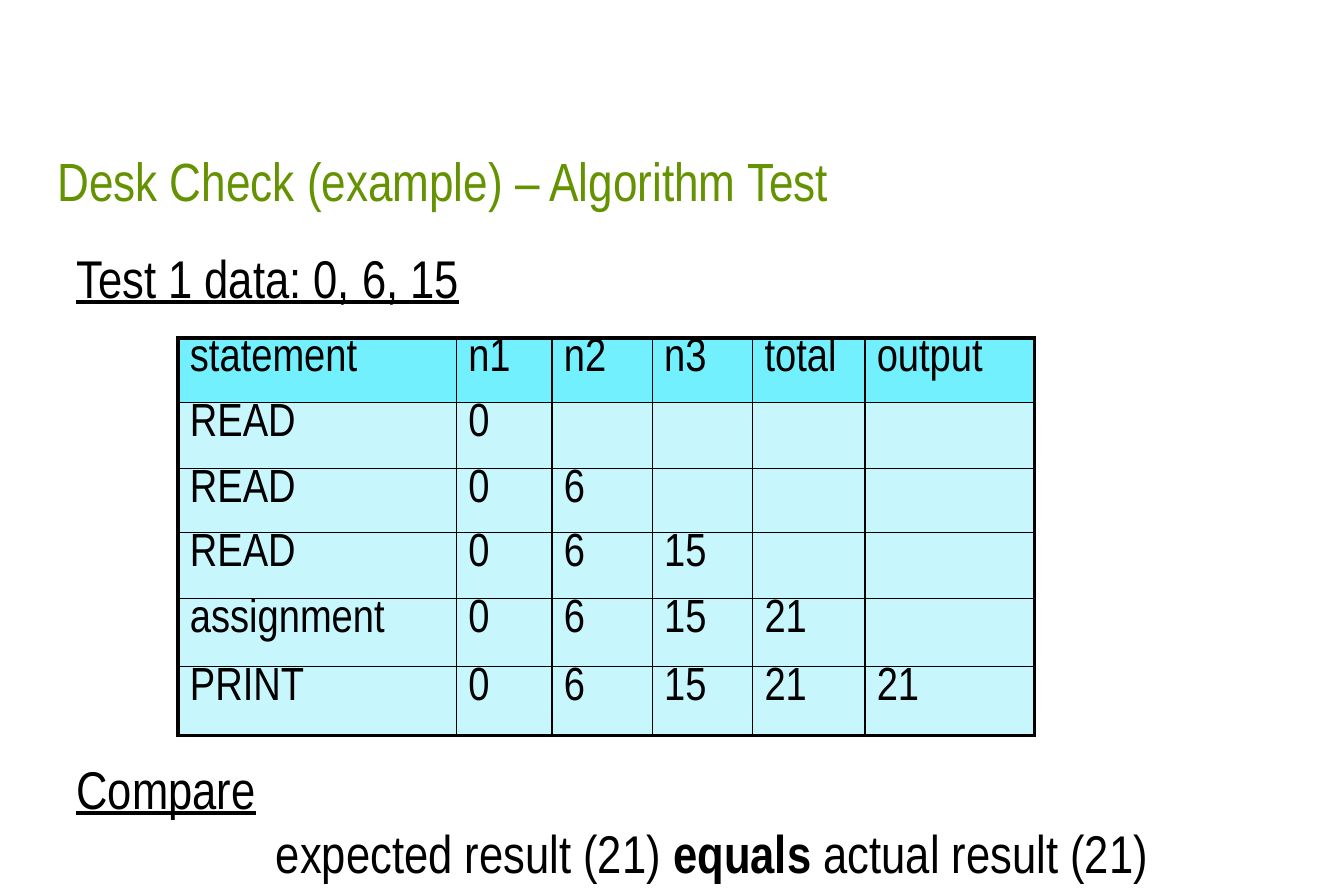
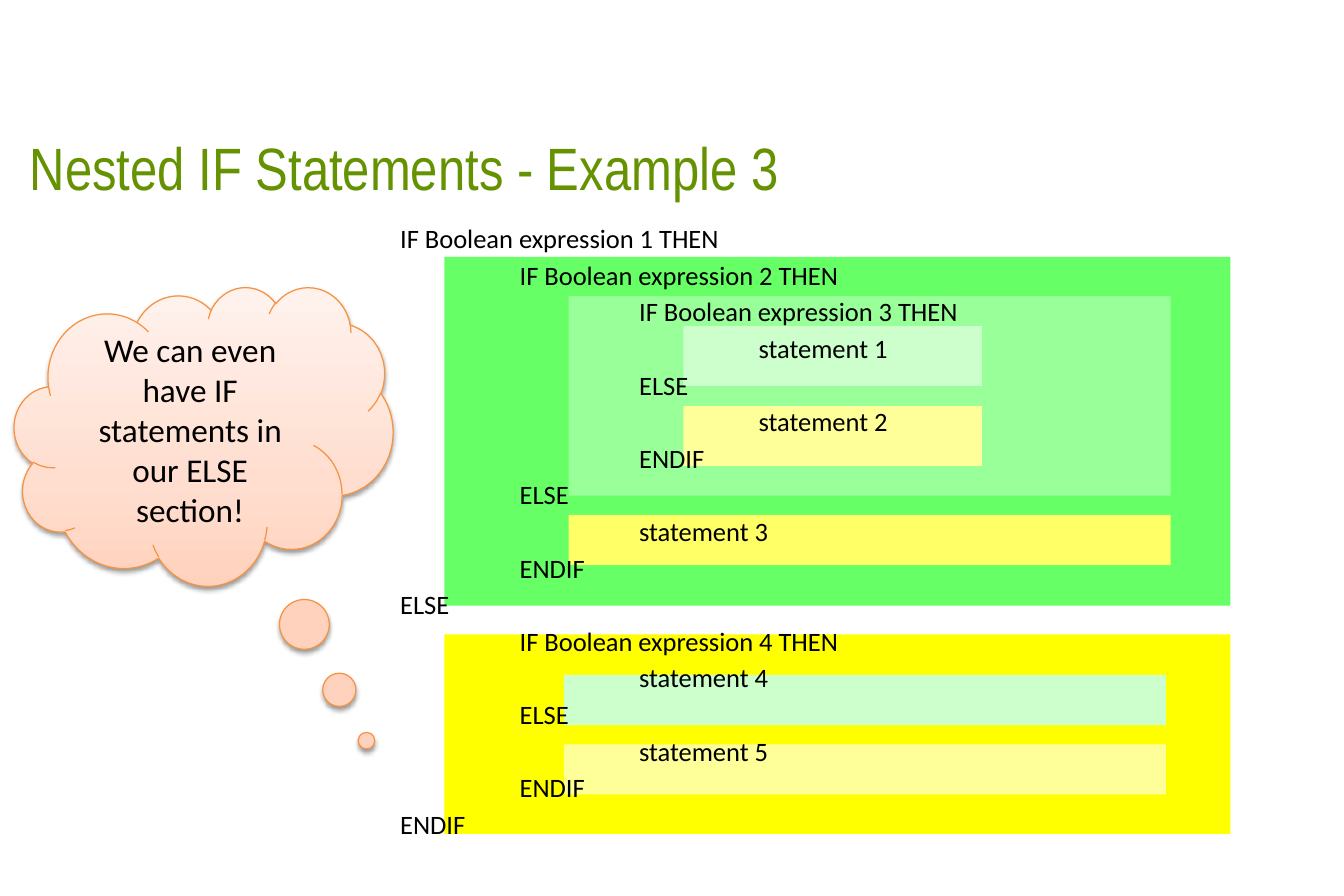
"""Build two teaching slides: a desk check table and a nested IF outline."""
from dataclasses import dataclass

from pptx import Presentation
from pptx import util as u
from pptx.dml.color import RGBColor
from pptx.enum import shapes, text
from pptx.oxml import parse_xml
from pptx.oxml.ns import nsdecls, qn

COLUMNS, ROWS = 45, 30
CELL = u.Inches(0.25)
NARROW, PLAIN = "Arial Narrow", "Calibri"
TITLE_GREEN, INK = "659200", "000000"
HEADER_FILL, BODY_FILL = "73F0FD", "C7F7FD"
CLOUD_LINE = "F69240"
CLOUD_STOPS = ((0, "FFD2BD"), (35, "FFDED0"), (100, "FFF2ED"))


@dataclass(frozen=True)
class Area:
    """A place on the grid, in columns and rows."""
    col: float
    row: float
    cols: float
    rows: float

    def emu(self) -> tuple:
        """Return left, top, width and height as lengths."""
        return tuple(grid(n) for n in (self.col, self.row, self.cols, self.rows))


@dataclass(frozen=True)
class Span:
    """A run of text with its emphasis."""
    words: str
    bold: bool = False
    underline: bool = False


@dataclass(frozen=True)
class Line:
    """A paragraph with its indent in columns and its spacing in points."""
    spans: tuple
    indent: float = 0
    before: float = 0
    pitch: float = 0


@dataclass(frozen=True)
class Block:
    """A coloured area behind a branch of the code."""
    area: Area
    fill: str


TEST_PITCH = 38.5
TABLE_LINES = 7
DESK_CHECK = (
    Line((Span("Test 1 data: 0, 6, 15", underline=True),), pitch=TEST_PITCH),
    Line((Span("Compare", underline=True),),
         before=TABLE_LINES * TEST_PITCH, pitch=TEST_PITCH),
    Line((Span("expected result (21) "), Span("equals", bold=True),
          Span(" actual result (21)")), indent=6.68, pitch=TEST_PITCH),
)

TRACE_AT = (5.96, 11.32)
TRACE_COLS = (9.32, 3.2, 3.36, 3.36, 3.76, 5.68)
TRACE_ROWS = (2.16, 2.2, 2.16, 2.2, 2.28, 2.32)
TRACE = (
    ("statement", "n1", "n2", "n3", "total", "output"),
    ("READ", "0", "", "", "", ""),
    ("READ", "0", "6", "", "", ""),
    ("READ", "0", "6", "15", "", ""),
    ("assignment", "0", "6", "15", "21", ""),
    ("PRINT", "0", "6", "15", "21", "21"),
)

BRANCHES = (
    Block(Area(14.88, 8.6, 26.32, 11.68), "66FF66"),
    Block(Area(14.88, 21.24, 26.32, 6.68), "FFFF00"),
    Block(Area(19.04, 9.92, 20.16, 6.68), "99FF99"),
    Block(Area(19.04, 17.24, 20.16, 1.68), "FFFF66"),
    Block(Area(18.88, 22.6, 20.16, 1.68), "CCFFCC"),
    Block(Area(18.88, 24.92, 20.16, 1.68), "FFFF99"),
    Block(Area(22.88, 10.92, 10, 2), "CCFFCC"),
    Block(Area(22.88, 13.6, 10, 2), "FFFF99"),
)

CODE_INDENT, CODE_STEP, CODE_GAP = 5.48, 4, 2.85
CODE = (
    (0, "IF Boolean expression 1 THEN"),
    (1, "IF Boolean expression 2 THEN"),
    (2, "IF Boolean expression 3 THEN"),
    (3, "statement 1"),
    (2, "ELSE"),
    (3, "statement 2"),
    (2, "ENDIF"),
    (1, "ELSE"),
    (2, "statement 3"),
    (1, "ENDIF"),
    (0, "ELSE"),
    (1, "IF Boolean expression 4 THEN"),
    (2, "statement 4"),
    (1, "ELSE"),
    (2, "statement 5"),
    (1, "ENDIF"),
    (0, "ENDIF"),
)


def grid(count: float) -> int:
    """Turn a number of grid cells into a length."""
    return round(count * CELL)


def colour(hex_code: str) -> RGBColor:
    """Turn a hex string into a colour."""
    return RGBColor.from_string(hex_code)


def add_span(paragraph, span: Span, font: str, size: float, ink: str = INK) -> None:
    """Add one formatted run to a paragraph."""
    run = paragraph.add_run()
    run.text = span.words
    run.font.name = font
    run.font.size = u.Pt(size)
    run.font.bold = span.bold
    run.font.underline = span.underline
    run.font.color.rgb = colour(ink)


def place(holder, area: Area, anchor) -> None:
    """Move a placeholder to its area and fix its text frame."""
    holder.left, holder.top, holder.width, holder.height = area.emu()
    holder.text_frame.word_wrap = True
    holder.text_frame.auto_size = text.MSO_AUTO_SIZE.NONE
    holder.text_frame.vertical_anchor = anchor


def write_title(slide, area: Area, words: str, size: float) -> None:
    """Fill the title placeholder in the shared title style."""
    title = slide.shapes.title
    place(title, area, text.MSO_ANCHOR.MIDDLE)
    paragraph = title.text_frame.paragraphs[0]
    paragraph.alignment = text.PP_ALIGN.LEFT
    add_span(paragraph, Span(words), NARROW, size, TITLE_GREEN)


def write_body(slide, area: Area, lines: tuple, font: str, size: float) -> None:
    """Fill the body placeholder with unbulleted lines."""
    body = slide.placeholders[1]
    place(body, area, text.MSO_ANCHOR.TOP)
    frame = body.text_frame
    for number, line in enumerate(lines):
        paragraph = frame.add_paragraph() if number else frame.paragraphs[0]
        paragraph.space_before = u.Pt(line.before)
        if line.pitch:
            paragraph.line_spacing = u.Pt(line.pitch)
        properties = paragraph._p.get_or_add_pPr()
        properties.set("marL", str(grid(line.indent)))
        properties.set("indent", "0")
        properties.append(parse_xml(f"<a:buNone {nsdecls('a')}/>"))
        for span in line.spans:
            add_span(paragraph, span, font, size)


def set_borders(cell, widths: dict) -> None:
    """Draw the borders of a cell, given in points by side."""
    properties = cell._tc.get_or_add_tcPr()
    for order, (side, points) in enumerate(widths.items()):
        properties.insert(order, parse_xml(
            f'<a:ln{side} {nsdecls("a")} w="{u.Pt(points)}"><a:solidFill>'
            f'<a:srgbClr val="{INK}"/></a:solidFill></a:ln{side}>'))


def draw_trace(slide) -> None:
    """Draw the table that traces the variables."""
    area = Area(*TRACE_AT, sum(TRACE_COLS), sum(TRACE_ROWS))
    last_row, last_col = len(TRACE_ROWS) - 1, len(TRACE_COLS) - 1
    trace = slide.shapes.add_table(last_row + 1, last_col + 1, *area.emu()).table
    for column, width in zip(trace.columns, TRACE_COLS):
        column.width = grid(width)
    for row, height in zip(trace.rows, TRACE_ROWS):
        row.height = grid(height)
    for r, values in enumerate(TRACE):
        for c, value in enumerate(values):
            cell = trace.cell(r, c)
            cell.margin_top = cell.margin_bottom = 0
            cell.fill.solid()
            cell.fill.fore_color.rgb = colour(BODY_FILL if r else HEADER_FILL)
            outer = {"L": c == 0, "R": c == last_col, "T": r == 0, "B": r == last_row}
            set_borders(cell, {side: 2.25 if edge else 1 for side, edge in outer.items()})
            if value:
                add_span(cell.text_frame.paragraphs[0], Span(value), NARROW, 28)


def draw_branch(slide, block: Block) -> None:
    """Draw one coloured branch area."""
    branch = slide.shapes.add_shape(shapes.MSO_SHAPE.RECTANGLE, *block.area.emu())
    branch.shadow.inherit = False
    branch.fill.solid()
    branch.fill.fore_color.rgb = colour(block.fill)
    branch.line.fill.background()


def draw_remark(slide, area: Area, words: str) -> None:
    """Draw the thought cloud with its gradient and soft shadow."""
    cloud = slide.shapes.add_shape(shapes.MSO_SHAPE.CLOUD_CALLOUT, *area.emu())
    cloud.adjustments[0], cloud.adjustments[1] = 0.43, 1.02
    cloud.line.color.rgb = colour(CLOUD_LINE)
    cloud.line.width = u.Pt(0.75)
    cloud.shadow.inherit = False
    properties = cloud.element.spPr
    stops = "".join(f'<a:gs pos="{share * 1000}"><a:srgbClr val="{tint}"/></a:gs>'
                    for share, tint in CLOUD_STOPS)
    properties.insert(2, parse_xml(
        f'<a:gradFill {nsdecls("a")} rotWithShape="1"><a:gsLst>{stops}</a:gsLst>'
        f'<a:lin ang="{270 * 60000}" scaled="0"/></a:gradFill>'))
    properties.find(qn("a:effectLst")).append(parse_xml(
        f'<a:outerShdw {nsdecls("a")} blurRad="{u.Pt(3.1)}" dist="{u.Pt(1.6)}" '
        f'dir="{90 * 60000}" rotWithShape="0"><a:srgbClr val="{INK}">'
        f'<a:alpha val="38000"/></a:srgbClr></a:outerShdw>'))
    frame = cloud.text_frame
    frame.word_wrap = True
    frame.vertical_anchor = text.MSO_ANCHOR.MIDDLE
    frame.paragraphs[0].alignment = text.PP_ALIGN.CENTER
    add_span(frame.paragraphs[0], Span(words), PLAIN, 20)


def build_desk_check(slide) -> None:
    """Build the desk check slide."""
    write_title(slide, Area(1.52, 4.68, 36.24, 2.72),
                "Desk Check (example) – Algorithm Test", 32.4)
    write_body(slide, Area(2.16, 8, 37.6, 21.68), DESK_CHECK, NARROW, 32)
    draw_trace(slide)


def build_nested_if(slide) -> None:
    """Build the nested IF slide, with the text above the branches."""
    for block in BRANCHES:
        draw_branch(slide, block)
    for holder in list(slide.placeholders):
        holder.element.getparent().append(holder.element)
    write_title(slide, Area(0.6, 3.08, 26.72, 5), "Nested IF Statements - Example 3", 36)
    lines = tuple(Line((Span(words),), CODE_INDENT + depth * CODE_STEP,
                       CODE_GAP if number else 0)
                  for number, (depth, words) in enumerate(CODE))
    write_body(slide, Area(7.52, 7.24, 35.64, 22.68), lines, PLAIN, 16)
    draw_remark(slide, Area(0.48, 9.6, 12.68, 10),
                "We can even have IF statements in our ELSE section!")


def main() -> None:
    """Build and save the presentation."""
    deck = Presentation()
    deck.slide_width, deck.slide_height = grid(COLUMNS), grid(ROWS)
    for build in (build_desk_check, build_nested_if):
        build(deck.slides.add_slide(deck.slide_layouts[1]))
    deck.save("out.pptx")


if __name__ == "__main__":
    main()
